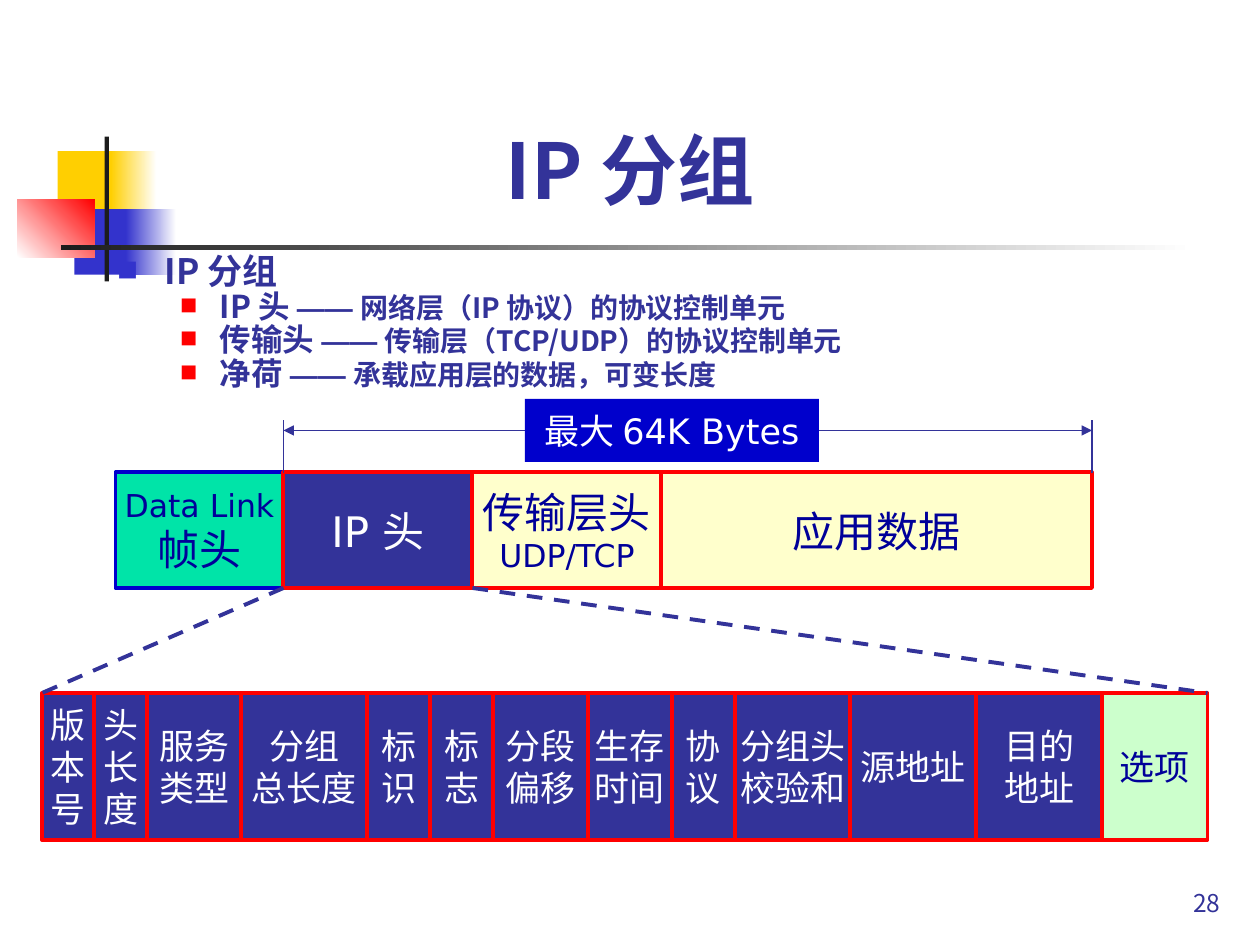
from lxml.etree import SubElement
from pptx import Presentation
from pptx.dml.color import RGBColor
from pptx.enum.dml import MSO_LINE
from pptx.enum.shapes import MSO_CONNECTOR, MSO_SHAPE
from pptx.enum.text import MSO_ANCHOR, PP_ALIGN
from pptx.oxml.ns import qn
from pptx.util import Pt

C = {
    "navy": "333399", "ink": "000099", "blue": "0000CC", "violet": "3333CC",
    "red": "FF0000", "gold": "FFCF01", "black": "1C1C1C", "white": "FFFFFF",
    "green": "00E4A8", "cream": "FFFFCC", "mint": "CCFFCC",
}
NOTO, DEJAVU, TIMES, ARIAL = "Noto Sans CJK JP", "DejaVu Sans", "Times New Roman", "Arial"


def add_rect(x, y, w, h, fill, line=None):
    sp = s.shapes.add_shape(MSO_SHAPE.RECTANGLE, Pt(x), Pt(y), Pt(w), Pt(h))
    sp.shadow.inherit = False
    if isinstance(fill, tuple):
        start, end, angle = fill
        sp.fill.gradient()
        sp.fill.gradient_angle = angle
        for stop, name in zip(sp.fill.gradient_stops, (start, end)):
            stop.color.rgb = RGBColor.from_string(C[name])
    else:
        sp.fill.solid()
        sp.fill.fore_color.rgb = RGBColor.from_string(C[fill])
    if line:
        sp.line.color.rgb = RGBColor.from_string(C[line])
        sp.line.width = Pt(2.25)
    else:
        sp.line.fill.background()
    return sp


def add_text(sp, paragraphs, color, anchor=MSO_ANCHOR.MIDDLE, align=PP_ALIGN.CENTER,
             inset=(0, 0), wrap=True, bold=False):
    tf = sp.text_frame
    tf.word_wrap = wrap
    tf.vertical_anchor = anchor
    tf.margin_left = tf.margin_right = Pt(inset[0])
    tf.margin_top = tf.margin_bottom = Pt(inset[1])
    for i, runs in enumerate(paragraphs):
        p = tf.paragraphs[0] if i == 0 else tf.add_paragraph()
        p.alignment = align
        for text, size, font in runs:
            r = p.add_run()
            r.text = text
            r.font.size = Pt(size)
            r.font.name = font
            r.font.bold = bold
            r.font.color.rgb = RGBColor.from_string(C[color])
            ea = SubElement(r.font._element, qn("a:ea"))
            ea.set("typeface", ARIAL if font == ARIAL else NOTO)
    return tf


prs = Presentation()
prs.slide_width, prs.slide_height = Pt(720), Pt(540)
s = prs.slides.add_slide(prs.slide_layouts[6])

for x, y, w, h, fill in [
    (33, 86.4, 34.5, 37.4, "gold"),
    (63.4, 86.4, 26, 37.4, ("gold", "white", 0)),
    (42.5, 119.5, 33, 37.4, "violet"),
    (72, 119.5, 28.8, 37.4, ("violet", "white", 0)),
    (10, 113.8, 44, 33.2, ("white", "red", 45)),
    (59.8, 78, 2.4, 82.8, "black"),
    (34.8, 140.2, 648, 2.4, ("black", "white", 0)),
]:
    add_rect(x, y, w, h, fill)

number = s.shapes.add_textbox(Pt(554.4), Pt(491.8), Pt(150), Pt(36))
add_text(number, [[("28", 14, NOTO)]], "navy", MSO_ANCHOR.BOTTOM, PP_ALIGN.RIGHT, (7.2, 3.6))

title = s.shapes.add_textbox(Pt(0), Pt(60.5), Pt(720), Pt(66))
add_text(title, [[("IP 分组", 44, NOTO)]], "navy", MSO_ANCHOR.BOTTOM, inset=(7.2, 3.6), bold=True)

body = s.shapes.add_textbox(Pt(60), Pt(145.5), Pt(612), Pt(124))
outline = [[("IP 分组", 20, NOTO)]]
for term, meaning in [
    ("IP 头 ", "网络层（IP 协议）的协议控制单元"),
    ("传输头 ", "传输层（TCP/UDP）的协议控制单元"),
    ("净荷 ", "承载应用层的数据，可变长度"),
]:
    outline.append([(term, 18, NOTO), ("—— ", 16, ARIAL), (meaning, 16, NOTO)])
tf = add_text(body, outline, "navy", MSO_ANCHOR.TOP, PP_ALIGN.LEFT, (7.2, 3.6), bold=True)
for i, p in enumerate(tf.paragraphs):
    margin, hang, color, size = (58.5, 22.5, "red", 55) if i else (27, 27, "violet", 60)
    p.line_spacing = 0.7
    p.space_before = Pt(4 if i else 0)
    pPr = p._p.get_or_add_pPr()
    pPr.set("marL", str(Pt(margin)))
    pPr.set("indent", str(-Pt(hang)))
    SubElement(SubElement(pPr, qn("a:buClr")), qn("a:srgbClr")).set("val", C[color])
    SubElement(pPr, qn("a:buSzPct")).set("val", str(size * 1000))
    SubElement(pPr, qn("a:buFont")).set("typeface", NOTO)
    SubElement(pPr, qn("a:buChar")).set("char", "■")

for x, w, fill, line, color, paragraphs in [
    (66, 96, "green", "blue", "ink", [[("Data Link", 18, DEJAVU)], [("帧头", 24, TIMES)]]),
    (270, 108, "cream", "red", "ink", [[("传输层头", 24, TIMES)], [("UDP/TCP", 18, DEJAVU)]]),
    (162, 108, "navy", "red", "white", [[("IP ", 24, DEJAVU), ("头", 24, TIMES)]]),
    (378, 246, "cream", "red", "ink", [[("应用数据", 24, TIMES)]]),
]:
    sp = add_rect(x, 270, w, 66, fill, line)
    add_text(sp, paragraphs, color, inset=(7.2, 3.6), wrap=False)

x = 24
for w, *lines in [
    (30, "版本号"), (30, "头长度"), (54, "服务类型"), (72, "分组", "总长度"),
    (36, "标识"), (36, "标志"), (54, "分段偏移"), (48, "生存时间"), (36, "协议"),
    (66, "分组头校验和"), (72, "源地址"), (72, "目的", "地址"), (60, "选项"),
]:
    fill, color = ("mint", "ink") if lines == ["选项"] else ("navy", "white")
    sp = add_rect(x, 396, w, 84, fill, "red")
    add_text(sp, [[(text, 20, TIMES)] for text in lines], color)
    x += w

for x1, y1, x2, y2, kind in [
    (162, 336, 24, 396, "dash"),
    (270, 336, 690, 396, "dash"),
    (162, 270, 162, 240, "plain"),
    (624, 270, 624, 240, "plain"),
    (162, 246, 624, 246, "arrow"),
]:
    cn = s.shapes.add_connector(MSO_CONNECTOR.STRAIGHT, Pt(x1), Pt(y1), Pt(x2), Pt(y2))
    cn.line.color.rgb = RGBColor.from_string(C["navy"])
    cn.line.width = Pt(2.25 if kind == "dash" else 0.75)
    if kind == "dash":
        cn.line.dash_style = MSO_LINE.DASH
    if kind == "arrow":
        ln = cn.line._get_or_add_ln()
        for end in ("a:headEnd", "a:tailEnd"):
            SubElement(ln, qn(end)).set("type", "triangle")
    SubElement(cn._element.spPr, qn("a:effectLst"))

size_label = add_rect(300, 228, 168, 36, "blue")
add_text(size_label, [[("最大 ", 20, TIMES), ("64K Bytes", 20, DEJAVU)]], "white")

prs.save("out.pptx")
